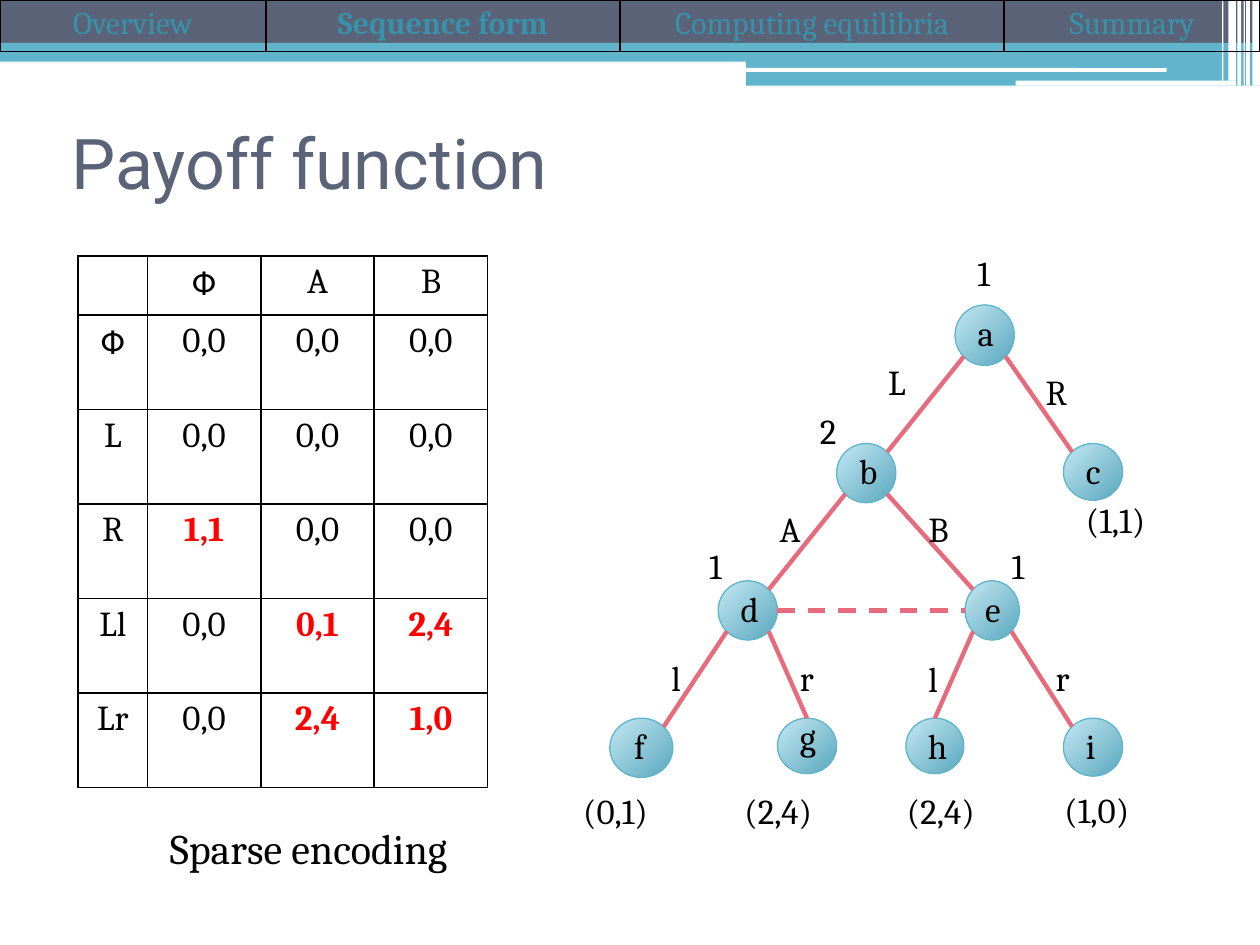
from dataclasses import dataclass
from math import hypot

from lxml import etree
from pptx import Presentation
from pptx.dml.color import RGBColor
from pptx.enum.dml import MSO_LINE
from pptx.enum.shapes import MSO_CONNECTOR, MSO_SHAPE
from pptx.enum.text import MSO_ANCHOR, PP_ALIGN
from pptx.oxml.ns import qn
from pptx.util import Inches, Pt

RECTANGLE, ROUNDED, OVAL = MSO_SHAPE.RECTANGLE, MSO_SHAPE.ROUNDED_RECTANGLE, MSO_SHAPE.OVAL
STRAIGHT, DASH = MSO_CONNECTOR.STRAIGHT, MSO_LINE.DASH
LEFT, CENTER = PP_ALIGN.LEFT, PP_ALIGN.CENTER
TOP, MIDDLE = MSO_ANCHOR.TOP, MSO_ANCHOR.MIDDLE

# The slide is a grid of 100 columns by 75 rows; lengths below are in grid cells.
COLUMNS, ROWS = 100, 75


@dataclass(frozen=True)
class Theme:
    slate: str = "5A6378"
    teal: str = "60B5CC"
    white: str = "FFFFFF"
    black: str = "000000"
    red: str = "FF0000"
    navigation: str = "3792AA"
    edge: str = "E66C7D"
    node_light: str = "C5E8F3"
    node_dark: str = "59A8BE"
    heading_font: str = "Roboto"
    body_font: str = "Cambria"
    symbol_font: str = "Calibri"
    title_size: int = 40
    caption_size: int = 24
    body_size: int = 20
    navigation_size: int = 18


THEME = Theme()

BARS = [
    ((0, 4, 100, 0.9), THEME.teal), ((0, 0, 100, 3.4), THEME.slate),
    ((0, 3.4, 100, 1), THEME.teal), ((59.2, 3.9, 40.8, 1), THEME.teal),
    ((59.2, 4.8, 40.8, 2), THEME.teal),
]
HIGHLIGHTS = [(59.1, 5.4, 33.5, 0.3), (80.6, 6.4, 17.5, 0.4)]
STRIPES = [(99.4, 0.6, 6.8), (98.9, 0.3, 6.8), (98.7, 0.1, 6.8),
           (98.2, 0.3, 6.8), (97.5, 0.6, 6.4), (97, 0.1, 6.4)]  # left, width, height

SECTIONS = ["Overview", "Sequence form", "Computing equilibria", "Summary"]
CURRENT_SECTION = "Sequence form"
PAYOFFS = [
    ["", "Ф", "A", "B"],
    ["Ф", "0,0", "0,0", "0,0"],
    ["L", "0,0", "0,0", "0,0"],
    ["R", "1,1", "0,0", "0,0"],
    ["Ll", "0,0", "0,1", "2,4"],
    ["Lr", "0,0", "2,4", "1,0"],
]

NODES = {
    "a": (75.8, 24.2, 4.7, 4.8), "b": (66.4, 35.2, 4.7, 4.7), "c": (84.4, 35.2, 4.7, 4.5),
    "d": (57, 46.1, 4.7, 4.7), "e": (76.6, 46.1, 4.3, 4.7), "f": (48.4, 57, 5, 4.7),
    "g": (61.7, 57, 4.7, 4.4), "h": (71.9, 57, 4.6, 4.4), "i": (84.4, 57, 4.7, 4.6),
}
# Parent, child, direction across from the parent, direction across into the child
EDGES = [("a", "b", -1, 1), ("a", "c", 1, -1), ("b", "d", -1, 1), ("b", "e", 1, -1),
         ("d", "f", -1, 1), ("d", "g", 1, 0), ("e", "h", -1, 0), ("e", "i", 1, -1)]
MOVES = [("L", 69.5, 28.1), ("R", 82, 28.9), ("A", 60.9, 39.8), ("B", 72.7, 39.8),
         ("l", 52.3, 51.6), ("l", 72.7, 51.7), ("r", 62.5, 51.6), ("r", 82.8, 51.6)]
PLAYERS = [("1", 76.6, 19.5), ("1", 55.3, 42.7), ("1", 79.3, 42.7), ("2", 64.1, 32)]
OUTCOMES = [("(0,1)", 45.3, 62.2), ("(1,0)", 83.5, 62.1), ("(2,4)", 58.1, 62.2),
            ("(2,4)", 71, 62.2), ("(1,1)", 85.2, 39.1)]
LABEL_WIDTH, OUTCOME_WIDTH, LETTER_WIDTH, LABEL_HEIGHT = 5, 11.6, 3.1, 4.3
LETTER_LIFT = {"g": 0.7}


def write_text(frame, text, size=THEME.body_size, font=THEME.body_font,
               color=THEME.black, bold=False, align=LEFT):
    paragraph = frame.paragraphs[0]
    paragraph.alignment = align
    run = paragraph.add_run()
    run.text = text
    run.font.size = Pt(size)
    run.font.name = font
    run.font.bold = bold
    run.font.color.rgb = RGBColor.from_string(color)


def outline_cell(cell, color, width=1):
    """Draw all four borders; they must precede the fill in the cell properties."""
    properties = cell._tc.get_or_add_tcPr()
    for position, side in enumerate(("a:lnL", "a:lnR", "a:lnT", "a:lnB")):
        border = etree.Element(qn(side), w=str(Pt(width)))
        fill = etree.SubElement(border, qn("a:solidFill"))
        etree.SubElement(fill, qn("a:srgbClr"), val=color)
        properties.insert(position, border)


def rim_point(node, across, down):
    """Point on a node's rim in the direction (across, down) from its centre."""
    left, top, width, height = node
    length = hypot(across, down)
    return (left + width / 2 * (1 + across / length),
            top + height / 2 * (1 + down / length))


def section_format(section):
    return dict(size=THEME.navigation_size, color=THEME.navigation,
                bold=section == CURRENT_SECTION)


def payoff_format(value):
    if value == "Ф":
        return dict(font=THEME.symbol_font)
    nonzero = "," in value and value != "0,0"
    return dict(bold=nonzero, color=THEME.red if nonzero else THEME.black)


class SlideBuilder:
    def __init__(self, presentation, theme):
        self.theme = theme
        self.slide = presentation.slides.add_slide(presentation.slide_layouts[6])
        self.column = presentation.slide_width / COLUMNS
        self.row = presentation.slide_height / ROWS

    def place(self, left, top, width, height):
        return (round(left * self.column), round(top * self.row),
                round(width * self.column), round(height * self.row))

    def bar(self, box, color, kind=RECTANGLE):
        shape = self.slide.shapes.add_shape(kind, *self.place(*box))
        shape.shadow.inherit = False
        shape.fill.solid()
        shape.fill.fore_color.rgb = RGBColor.from_string(color)
        shape.line.fill.background()

    def node(self, box):
        shape = self.slide.shapes.add_shape(OVAL, *self.place(*box))
        shape.shadow.inherit = False
        shape.fill.gradient()
        shape.fill.gradient_angle = 315
        colors = (self.theme.node_light, self.theme.node_dark)
        for stop, position, color in zip(shape.fill.gradient_stops, (0, 1), colors):
            stop.position = position
            stop.color.rgb = RGBColor.from_string(color)
        shape.line.color.rgb = RGBColor.from_string(self.theme.teal)
        shape.line.width = Pt(0.75)

    def edge(self, start, end, dash=None):
        connector = self.slide.shapes.add_connector(STRAIGHT, *self.place(*start, *end))
        connector.line.color.rgb = RGBColor.from_string(self.theme.edge)
        connector.line.width = Pt(2.5)
        connector.line.dash_style = dash
        etree.SubElement(connector._element.spPr, qn("a:effectLst"))

    def text(self, box, text, anchor=TOP, **text_format):
        frame = self.slide.shapes.add_textbox(*self.place(*box)).text_frame
        frame.word_wrap = True
        frame.vertical_anchor = anchor
        write_text(frame, text, **text_format)

    def table(self, corner, widths, heights, rows, format_for):
        box = self.place(*corner, sum(widths), sum(heights))
        table = self.slide.shapes.add_table(len(heights), len(widths), *box).table
        table.first_row = table.horz_banding = False
        for column, width in zip(table.columns, widths):
            column.width = round(width * self.column)
        for row, height, values in zip(table.rows, heights, rows):
            row.height = round(height * self.row)
            for cell, value in zip(row.cells, values):
                cell.fill.background()
                outline_cell(cell, self.theme.black)
                if value:
                    write_text(cell.text_frame, value, align=CENTER, **format_for(value))


def draw_header(builder):
    for box, color in BARS:
        builder.bar(box, color)
    for box in HIGHLIGHTS:
        builder.bar(box, THEME.white, ROUNDED)
    for left, width, height in STRIPES:
        builder.bar((left, 0, width, height), THEME.white)
    builder.text((4.7, 7, 90, 11.7), "Payoff function", anchor=MIDDLE,
                 size=THEME.title_size, font=THEME.heading_font, color=THEME.slate)
    builder.table((0, 0), [21.1, 28.1, 30.5, 20.3], [4.1], [SECTIONS], section_format)


def draw_tree(builder):
    for box in NODES.values():
        builder.node(box)
    for parent, child, leave, enter in EDGES:
        builder.edge(rim_point(NODES[parent], leave, 1), rim_point(NODES[child], enter, -1))
    builder.edge(rim_point(NODES["d"], 1, 0), rim_point(NODES["e"], -1, 0), dash=DASH)
    for labels, width in ((MOVES + PLAYERS, LABEL_WIDTH), (OUTCOMES, OUTCOME_WIDTH)):
        for label, left, top in labels:
            builder.text((left, top, width, LABEL_HEIGHT), label)
    for letter, (left, top, width, _) in NODES.items():
        builder.text((left + (width - LETTER_WIDTH) / 2, top - LETTER_LIFT.get(letter, 0),
                      LETTER_WIDTH, LABEL_HEIGHT), letter)


def main():
    presentation = Presentation()
    presentation.slide_width, presentation.slide_height = Inches(10), Inches(7.5)
    builder = SlideBuilder(presentation, THEME)
    draw_header(builder)
    builder.table((6.2, 20.3), [5.5] + [9] * 3, [4.7] + [7.5] * 5, PAYOFFS, payoff_format)
    builder.text((12.5, 64.8, 29.7, 9), "Sparse encoding", size=THEME.caption_size)
    draw_tree(builder)
    presentation.save("out.pptx")


if __name__ == "__main__":
    main()
